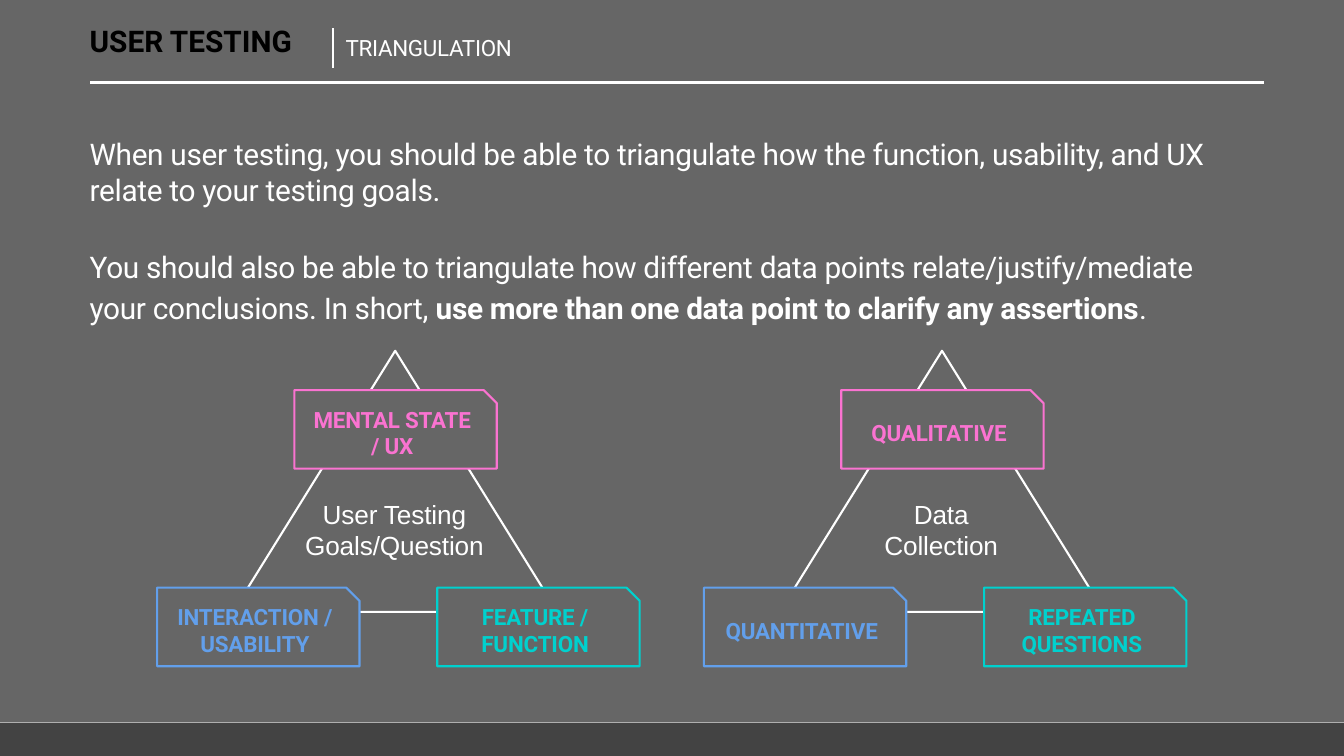
from dataclasses import dataclass

from lxml.etree import SubElement
from pptx import Presentation
from pptx.dml.color import RGBColor
from pptx.enum.shapes import MSO_CONNECTOR, MSO_SHAPE
from pptx.enum.text import MSO_ANCHOR, PP_ALIGN
from pptx.oxml.ns import qn
from pptx.util import Cm, Pt


@dataclass(frozen=True)
class Theme:
    panel: str = "666666"
    footer: str = "434343"
    white: str = "FFFFFF"
    black: str = "000000"
    pink: str = "FA73D1"
    blue: str = "629FEB"
    teal: str = "00D1CE"
    font: str = "Roboto"
    caption_font: str = "Arial"
    body: float = 21.3
    label: float = 16
    caption: float = 18.7
    line: float = 1.5


T = Theme()

prs = Presentation()
prs.slide_width, prs.slide_height = Cm(33.87), Cm(19.05)
s = prs.slides.add_slide(prs.slide_layouts[6])


def add_shape(kind, at, fill=None, line=None):
    sp = s.shapes.add_shape(kind, *map(Cm, at))
    sp.shadow.inherit = False
    if fill:
        sp.fill.solid()
        sp.fill.fore_color.rgb = RGBColor.from_string(fill)
    else:
        sp.fill.background()
    if line:
        sp.line.color.rgb = RGBColor.from_string(line)
        sp.line.width = Pt(T.line)
    else:
        sp.line.fill.background()
    return sp


def write(sp, paragraphs, colour, size, spacing, frame={}, para={}, **font):
    """Fill sp; each paragraph is a list of (text, bold) runs, spacing is between letters in points."""
    tf = sp.text_frame
    frame = {"word_wrap": True, "margin_left": 0, "margin_right": 0,
             "margin_top": 0, "margin_bottom": 0} | frame
    for name, value in frame.items():
        setattr(tf, name, value)
    for i, runs in enumerate(paragraphs):
        p = tf.add_paragraph() if i else tf.paragraphs[0]
        for name, value in para.items():
            setattr(p, name, value)
        for text, bold in runs:
            r = p.add_run()
            r.text = text
            for name, value in ({"name": T.font, "size": Pt(size), "bold": bold} | font).items():
                setattr(r.font, name, value)
            r.font.color.rgb = RGBColor.from_string(colour)
            r._r.get_or_add_rPr().set("spc", str(round(spacing * 100)))
    return tf


# Page panels
add_shape(MSO_SHAPE.RECTANGLE, (0, 0, 33.87, 18.2), T.panel)
add_shape(MSO_SHAPE.RECTANGLE, (0, 18.21, 33.87, 0.84), T.footer)

# Header
for ends in ((2.27, 2.08, 31.85, 2.08), (8.39, 0.71, 8.39, 1.72)):
    rule = s.shapes.add_connector(MSO_CONNECTOR.STRAIGHT, *map(Cm, ends))
    rule.line.color.rgb = RGBColor.from_string(T.white)
    rule.line.width = Pt(T.line)
    SubElement(rule._element.spPr, qn("a:effectLst"))

inset = {"margin_top": Cm(0.05)}
lead = {"space_before": Pt(1.3)}
title = s.shapes.add_textbox(Cm(2.26), Cm(0.51), Cm(5.8), Cm(0.97))
write(title, [[("USER TESTING", True)]], T.black, T.body, 0.05,
      inset | {"vertical_anchor": MSO_ANCHOR.MIDDLE}, lead)
subtitle = s.shapes.add_textbox(Cm(8.71), Cm(0.81), Cm(4.6), Cm(0.74))
write(subtitle, [[("TRIANGULATION", False)]], T.white, T.label, -0.2, inset, lead)

# Body copy
body = s.shapes.add_textbox(Cm(2.26), Cm(3.38), Cm(29.11), Cm(4.8))
tf = write(body, [
    [("When user testing, you should be able to triangulate how the function, "
      "usability, and UX relate to your testing goals.", False)],
    [("You should also be able to triangulate how different data points "
      "relate/justify/mediate your conclusions. In short, ", False),
     ("use more than one data point to clarify any assertions", True),
     (".", False)],
], T.white, T.body, -0.2, inset, lead)
tf.paragraphs[1].space_before = Pt(25.7)
tf.paragraphs[1].line_spacing = 1.15

# Triangles: caption, then labels for the top, left and right corners
TRIANGLES = [
    (["User Testing", "Goals/Question"],
     [["MENTAL STATE", "/ UX"], ["INTERACTION /", "USABILITY"], ["FEATURE /", "FUNCTION"]]),
    (["Data", "Collection"],
     [["QUALITATIVE"], ["QUANTITATIVE"], ["REPEATED", "QUESTIONS"]]),
]
CORNERS = [(7.42, 9.83, T.pink), (3.96, 14.81, T.blue), (11.02, 14.81, T.teal)]
TRIANGLE_STEP = 13.78

for i, (caption, labels) in enumerate(TRIANGLES):
    dx = i * TRIANGLE_STEP
    add_shape(MSO_SHAPE.ISOSCELES_TRIANGLE, (5.87 + dx, 8.84, 8.18, 6.58), line=T.white)
    for (x, y, colour), label in zip(CORNERS, labels):
        box = add_shape(MSO_SHAPE.SNIP_1_RECTANGLE, (x + dx, y, 5.1, 1.98), T.panel, colour)
        write(box, [[(text, True)] for text in label], colour, T.label, -0.1,
              {"vertical_anchor": MSO_ANCHOR.MIDDLE},
              {"alignment": PP_ALIGN.CENTER, "line_spacing": Pt(19.1)})
    tb = s.shapes.add_textbox(Cm(7.44 + dx), Cm(12.5), Cm(5), Cm(1.65))
    tf = write(tb, [[(text, False)] for text in caption], T.white, T.caption, -0.1,
               {"margin_top": Cm(0.08)},
               {"alignment": PP_ALIGN.CENTER, "line_spacing": Pt(22)}, name=T.caption_font)
    tf.paragraphs[0].space_before = Pt(2.4)

prs.save("out.pptx")
